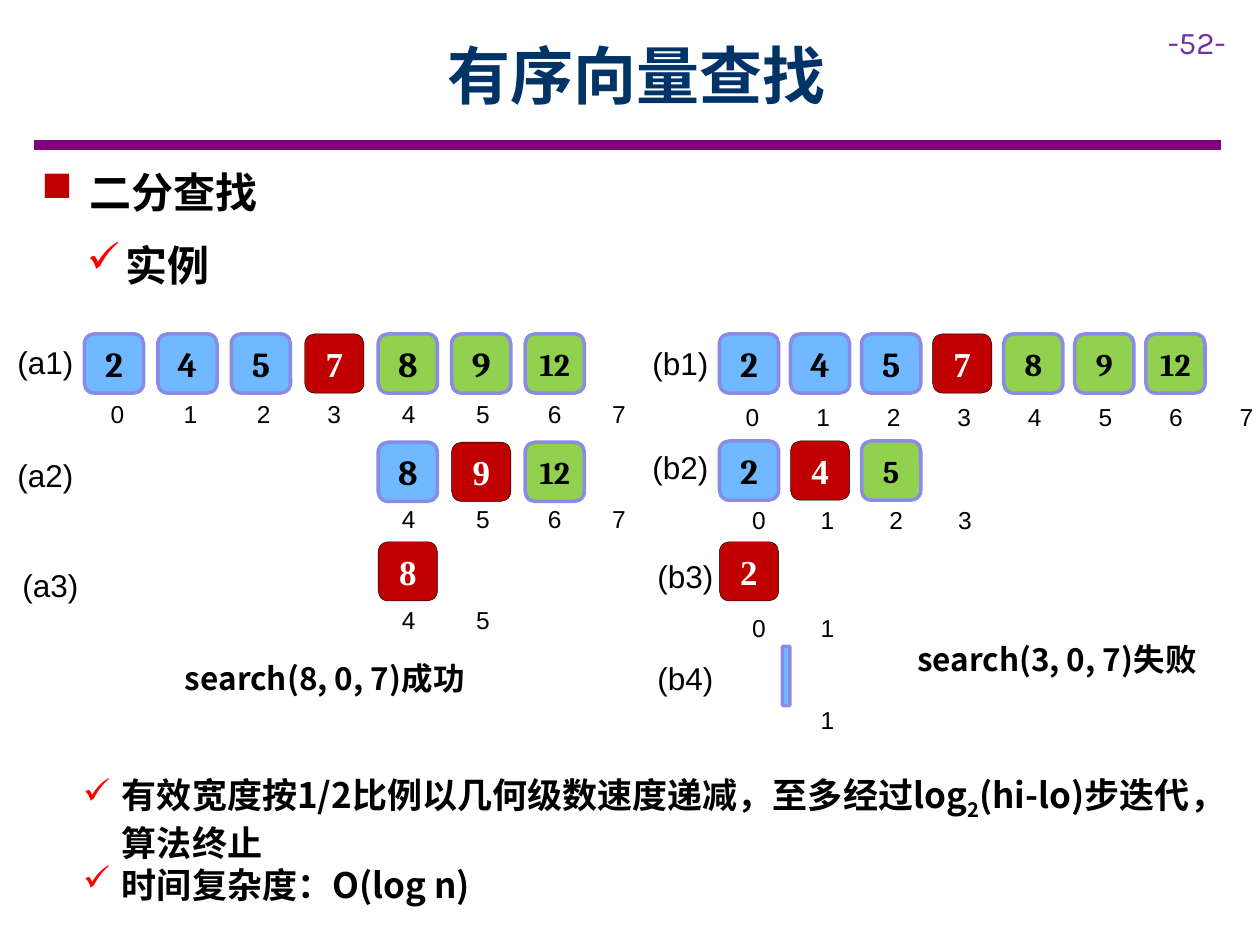
"""Build a slide that traces binary search in a sorted vector."""
from lxml import etree
from pptx import Presentation
from pptx import util as u
from pptx.dml.color import RGBColor
from pptx.enum import shapes, text
from pptx.oxml import ns

BLACK = RGBColor(0x00, 0x00, 0x00)
WHITE = RGBColor(0xFF, 0xFF, 0xFF)
NAVY = RGBColor(0x00, 0x33, 0x66)
PURPLE = RGBColor(0x80, 0x00, 0x80)
VIOLET = RGBColor(0x70, 0x30, 0xA0)
BLUE = RGBColor(0x70, 0xB8, 0xFF)
GREEN = RGBColor(0x92, 0xD0, 0x50)
RED = RGBColor(0xC0, 0x00, 0x00)
CHECK_RED = RGBColor(0xFF, 0x00, 0x00)
EDGE = RGBColor(0x8A, 0x8A, 0xE7)
HAN = "Noto Sans CJK SC"
CELL = 0.47


def set_font(para, size, name=HAN, color=BLACK, bold=True):
    para.font.size = u.Pt(size)
    para.font.bold = bold
    para.font.color.rgb = color
    para.font.name = name
    east = etree.SubElement(para.font._element, ns.qn("a:ea"))
    east.set("typeface", name)


def add_text(left, top, width, height, lines, size, name=HAN, color=BLACK,
             bold=True, bullet=None, bullet_color=CHECK_RED, indent=0.31):
    box = page.shapes.add_textbox(*map(u.Inches, (left, top, width, height)))
    frame = box.text_frame
    frame.word_wrap = True
    frame.auto_size = text.MSO_AUTO_SIZE.SHAPE_TO_FIT_TEXT
    for number, line in enumerate(lines):
        para = frame.add_paragraph() if number else frame.paragraphs[0]
        for part, words in enumerate(line.split("_")):
            span = para.add_run()
            span.text = words
            if part == 1:
                span.font._element.set("baseline", "-25000")
        if bullet:
            props = para._p.get_or_add_pPr()
            props.set("marL", str(u.Inches(indent)))
            props.set("indent", str(-u.Inches(indent)))
            tint = etree.SubElement(props, ns.qn("a:buClr"))
            etree.SubElement(tint, ns.qn("a:srgbClr")).set("val", str(bullet_color))
            etree.SubElement(props, ns.qn("a:buChar")).set("char", bullet)
        set_font(para, size, name, color, bold)


deck = Presentation()
deck.slide_width, deck.slide_height = u.Inches(10), u.Inches(7.5)
page = deck.slides.add_slide(deck.slide_layouts[5])

rule = page.shapes.add_connector(
    shapes.MSO_CONNECTOR.STRAIGHT, *map(u.Inches, (0.27, 1.15, 9.69, 1.15)))
rule.line.color.rgb = PURPLE
rule.line.width = u.Pt(6)
etree.SubElement(rule._element.spPr, ns.qn("a:effectLst"))

title = page.shapes.title
title.left, title.top, title.width, title.height = map(u.Inches, (0.9, 0.09, 8.31, 1))
title.text_frame.text = "有序向量查找"
title.text_frame.auto_size = text.MSO_AUTO_SIZE.NONE
title.text_frame.vertical_anchor = text.MSO_ANCHOR.MIDDLE
title.text_frame.paragraphs[0].alignment = text.PP_ALIGN.CENTER
set_font(title.text_frame.paragraphs[0], 36, color=NAVY)

add_text(9.17, 0.13, 0.83, 0.4, ["-52-"], 18, "Karla", VIOLET, False)
add_text(0.23, 1.27, 2.33, 0.5, ["二分查找"], 24, bullet="■", bullet_color=RED, indent=0.38)
add_text(0.59, 1.85, 1.18, 0.5, ["实例"], 24, bullet="✓")
add_text(1.37, 5.18, 2.5, 0.4, ["search(8, 0, 7)成功"], 18)
add_text(7.18, 5.03, 2.54, 0.4, ["search(3, 0, 7)失败"], 18)
add_text(0.56, 6.09, 9, 1.11,
         ["有效宽度按1/2比例以几何级数速度递减，至多经过log_2_(hi-lo)步迭代，算法终止",
          "时间复杂度：O(log n)"], 20, bullet="✓")

values = ["2", "4", "5", "7", "8", "9", "12"]
cell_lefts = {"a": [0.67 + 0.583 * column for column in range(7)],
              "b": [5.71 + 0.564 * column for column in range(7)]}
a_indexes = [0.78, 1.36, 1.94, 2.5, 3.09, 3.68, 4.25, 4.76]
b_indexes = [5.82 + 0.56 * column for column in range(8)]
b_narrow = [5.87 + 0.545 * column for column in range(4)]

steps = [
    ("a1", 0.04, 2.67, 2.65, 0, 7, a_indexes, 3.12),
    ("a2", 0.04, 3.57, 3.51, 4, 7, a_indexes, 3.95),
    ("a3", 0.08, 4.44, 4.3, 4, 5, a_indexes, 4.75),
    ("b1", 5.08, 2.68, 2.65, 0, 7, b_indexes, 3.14),
    ("b2", 5.08, 3.51, 3.5, 0, 3, b_narrow, 3.96),
    ("b3", 5.12, 4.37, 4.3, 0, 1, b_narrow, 4.82),
    ("b4", 5.12, 5.18, 5.13, 1, 1, b_narrow, 5.55),
]
for name, label_left, label_top, cell_top, low, high, index_lefts, index_top in steps:
    add_text(label_left, label_top, 0.67, 0.4, [f"({name})"], 18, "Arial", bold=False)
    middle = (low + high) // 2
    cells = [(cell_lefts[name[0]][rank], CELL, rank) for rank in range(low, high)]
    for left, width, rank in cells or [(6.21, 0.06, None)]:
        cell = page.shapes.add_shape(shapes.MSO_SHAPE.ROUNDED_RECTANGLE,
                                     *map(u.Inches, (left, cell_top, width, CELL)))
        cell.shadow.inherit = False
        probed = rank == middle
        upper = rank is not None and rank > middle
        cell.fill.solid()
        cell.fill.fore_color.rgb = RED if probed else GREEN if upper else BLUE
        cell.line.color.rgb = BLACK if probed else EDGE
        cell.line.width = u.Pt(0.25 if probed else 2)
        if rank is None:
            continue
        tight = upper and (name[0] == "b" or values[rank] == "12")
        frame = cell.text_frame
        frame.margin_left = frame.margin_right = u.Inches(0 if tight else 0.1)
        frame.margin_top = frame.margin_bottom = frame.margin_left
        frame.vertical_anchor = text.MSO_ANCHOR.MIDDLE
        frame.text = values[rank]
        frame.paragraphs[0].alignment = text.PP_ALIGN.CENTER
        set_font(frame.paragraphs[0], 18 if tight else 20,
                 "Times New Roman" if probed else "Cambria", WHITE if probed else BLACK)
    for rank in range(low, high + 1):
        add_text(index_lefts[rank], index_top, 0.39, 0.34, [str(rank)], 14, "Arial", bold=False)

deck.save("out.pptx")
